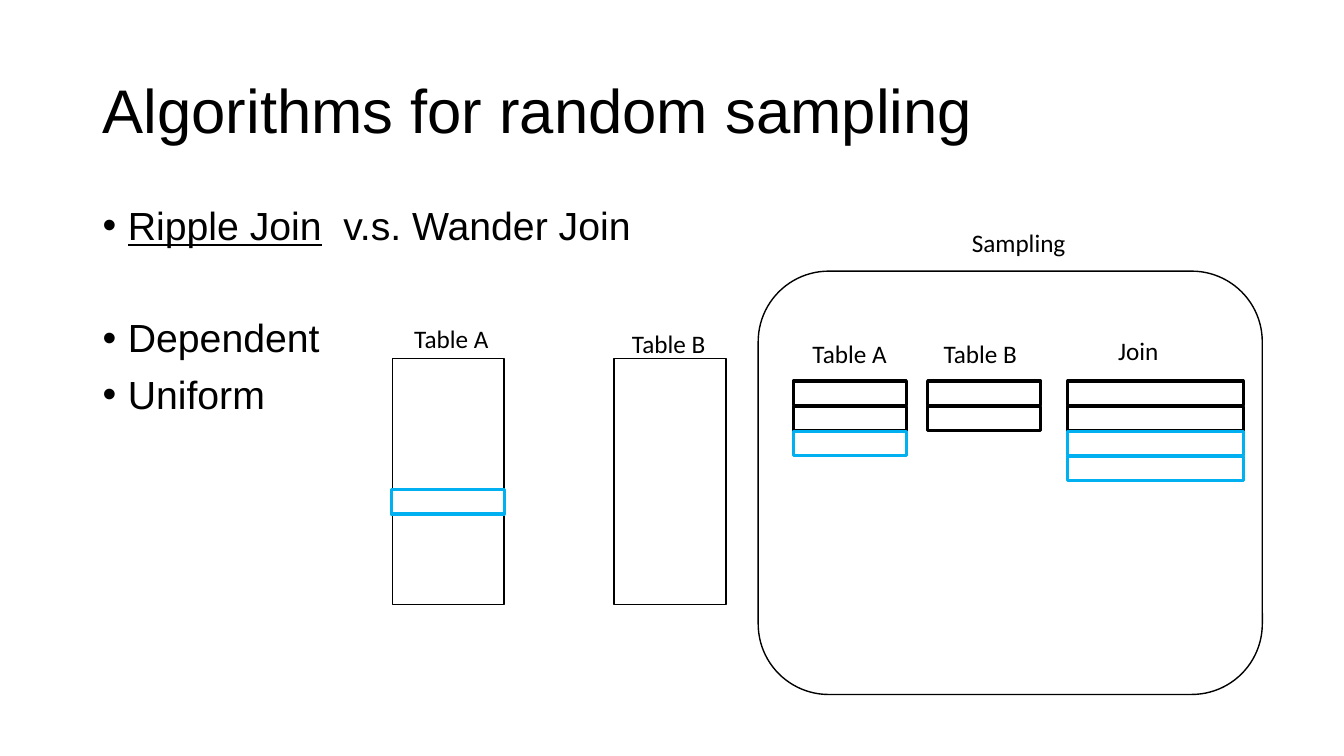
from lxml import etree
from pptx import Presentation
from pptx.dml.color import RGBColor
from pptx.enum.shapes import MSO_SHAPE
from pptx.enum.text import MSO_ANCHOR
from pptx.oxml.ns import qn
from pptx.util import Inches, Pt

RECT, ROUND = MSO_SHAPE.RECTANGLE, MSO_SHAPE.ROUNDED_RECTANGLE
MIDDLE, TOP = MSO_ANCHOR.MIDDLE, MSO_ANCHOR.TOP
BLACK, BLUE, WHITE = "000000", "00B0F0", "FFFFFF"

TITLE = "Algorithms for random sampling"
BULLETS = [
    (0, [("Ripple Join", True), ("  v.s. Wander Join", False)]),
    (50, [("Dependent", False)]),
    (10, [("Uniform", False)]),
]
LABELS = [
    ("Sampling", 9.54, 2.21, 1.14),
    ("Table A", 4.01, 3.16, 0.95),
    ("Table B", 6.17, 3.21, 0.94),
    ("Table A", 7.96, 3.31, 0.95),
    ("Table B", 9.26, 3.31, 0.95),
    ("Join", 10.99, 3.28, 0.61),
]
SOURCE_LEFTS = [3.89, 6.09]
SOURCE_TOP, SOURCE_W, SOURCE_H = 3.56, 1.11, 2.44
SAMPLING_BOX = (7.52, 2.69, 5, 4.2)
SAMPLES = [
    (7.87, 1.12, [BLACK, BLACK, BLUE]),
    (9.2, 1.12, [BLACK, BLACK]),
    (10.59, 1.74, [BLACK, BLACK, BLUE, BLUE]),
]
ROW_TOP, ROW_H, ROW_STEP = 3.78, 0.24, 0.25
PICKED_ROW = (3.88, 4.86, 1.12, ROW_H)
HEADING = {"name": "Arial", "size": Pt(44)}
BODY = {"name": "Arial", "size": Pt(28)}
LABEL = {"name": "Calibri", "size": Pt(18)}


def color(value):
    return RGBColor.from_string(value)


def add_box(at, kind=RECT, line=BLACK, width=1, fill=None):
    sp = s.shapes.add_shape(kind, *map(Inches, at))
    sp.shadow.inherit = False
    if fill:
        sp.fill.solid()
        sp.fill.fore_color.rgb = color(fill)
    else:
        sp.fill.background()
    sp.line.color.rgb = color(line)
    sp.line.width = Pt(width)


def add_frame(at, wrap=True, anchor=TOP):
    tf = s.shapes.add_textbox(*map(Inches, at)).text_frame
    tf.word_wrap = wrap
    tf.vertical_anchor = anchor
    return tf


def add_run(p, text, style):
    r = p.add_run()
    r.text = text
    r.font.color.rgb = color(BLACK)
    for name, value in style.items():
        setattr(r.font, name, value)


def add_bullet(p):
    pPr = p._p.get_or_add_pPr()
    pPr.set("marL", str(Inches(0.25)))
    pPr.set("indent", str(-Inches(0.25)))
    etree.SubElement(pPr, qn("a:buFont")).set("typeface", "Arial")
    etree.SubElement(pPr, qn("a:buChar")).set("char", "•")


prs = Presentation()
prs.slide_width, prs.slide_height = Inches(13.33), Inches(7.5)
s = prs.slides.add_slide(prs.slide_layouts[6])

p = add_frame((0.92, 0.4, 11.5, 1.45), anchor=MIDDLE).paragraphs[0]
p.line_spacing = 0.9
add_run(p, TITLE, HEADING)

tf = add_frame((0.92, 2, 11.5, 4.76))
for i, (before, runs) in enumerate(BULLETS):
    p = tf.add_paragraph() if i else tf.paragraphs[0]
    add_bullet(p)
    p.line_spacing = 0.9
    p.space_before = Pt(before)
    for text, underline in runs:
        add_run(p, text, {**BODY, "underline": underline})

for left in SOURCE_LEFTS:
    add_box((left, SOURCE_TOP, SOURCE_W, SOURCE_H), fill=WHITE)
add_box(SAMPLING_BOX, kind=ROUND, fill=WHITE)
add_box(PICKED_ROW, line=BLUE, width=2.25)

for left, width, rows in SAMPLES:
    for i, line in enumerate(rows):
        add_box((left, ROW_TOP + i * ROW_STEP, width, ROW_H), line=line, width=2.25)

for text, left, top, width in LABELS:
    tf = add_frame((left, top, width, 0.4), wrap=False)
    add_run(tf.paragraphs[0], text, LABEL)

prs.save("out.pptx")
